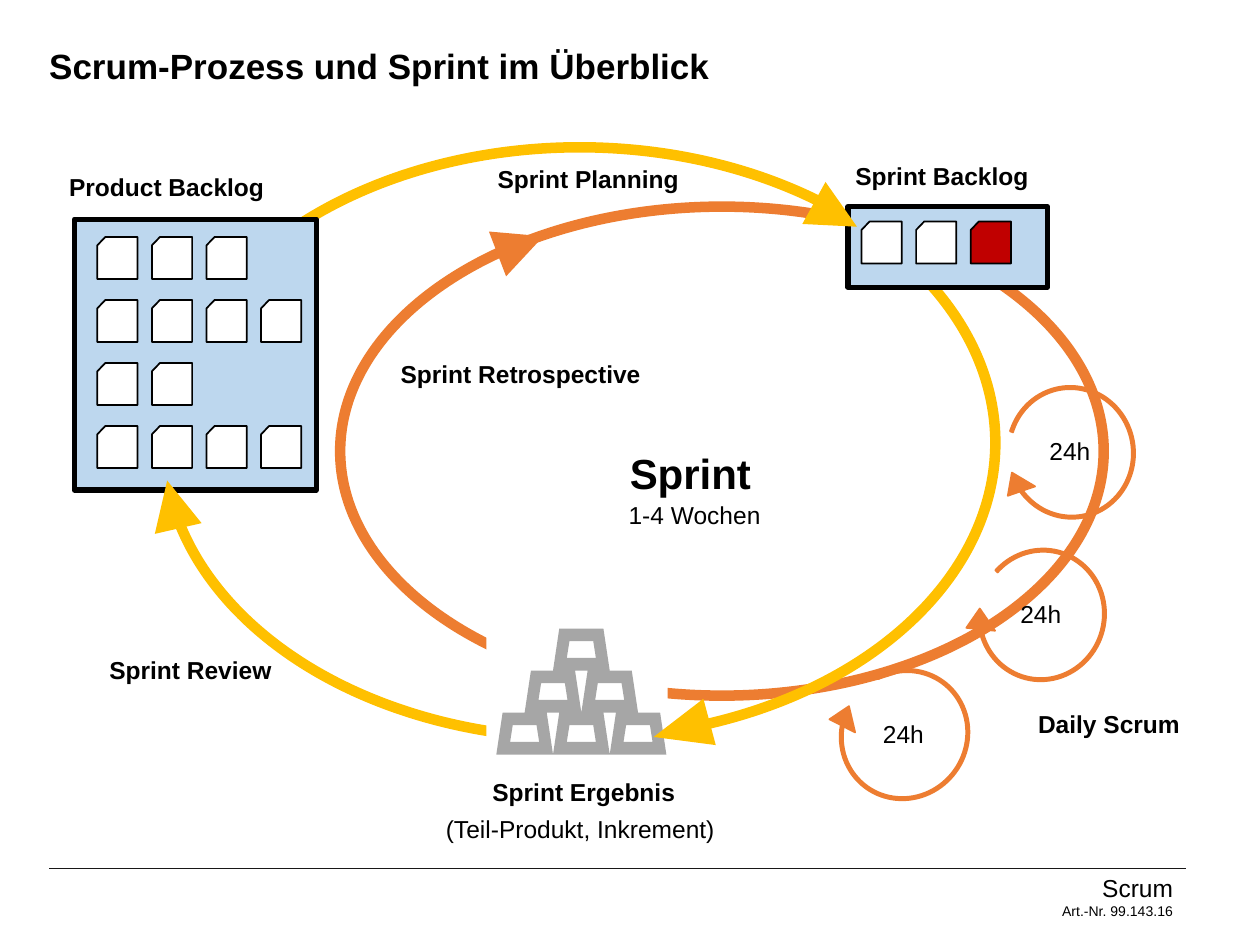
from dataclasses import dataclass
from lxml.etree import SubElement
from pptx import Presentation
from pptx.dml.color import RGBColor
from pptx.enum.shapes import MSO_CONNECTOR, MSO_SHAPE
from pptx.enum.text import MSO_ANCHOR, MSO_AUTO_SIZE, PP_ALIGN
from pptx.oxml.ns import qn
from pptx.util import Pt


@dataclass(frozen=True)
class Theme:
    font: str = "Arial"
    ink: str = "000000"
    rule: str = "181717"
    paper: str = "FFFFFF"
    board: str = "BDD7EE"
    urgent: str = "C00000"
    sprint: str = "ED7D31"
    flow: str = "FFC000"
    brick: str = "A6A6A6"
    title: int = 20
    heading: int = 24
    body: int = 14
    small: int = 8


def write(para, text, *, theme, size, bold=False, align=PP_ALIGN.LEFT, spacing=None):
    para.alignment = align
    if spacing:
        para.line_spacing = spacing
    span = para.add_run()
    span.text = text
    span.font.name = theme.font
    span.font.size = Pt(size)
    span.font.bold = bold
    span.font.color.rgb = RGBColor.from_string(theme.ink)


class Painter:
    def __init__(self, slide, theme):
        self.slide = slide
        self.theme = theme

    def style(self, shape, fill, line, weight):
        shape.shadow.inherit = False
        if fill:
            shape.fill.solid()
            shape.fill.fore_color.rgb = RGBColor.from_string(fill)
        else:
            shape.fill.background()
        if line:
            shape.line.color.rgb = RGBColor.from_string(line)
            shape.line.width = Pt(weight)
        else:
            shape.line.fill.background()

    def shape(self, kind, left, top, width, height, fill=None, line=None, weight=1, turn=0):
        shape = self.slide.shapes.add_shape(kind, Pt(left), Pt(top), Pt(width), Pt(height))
        self.style(shape, fill, line, weight)
        shape.rotation = turn
        return shape

    def title(self, text, left, top, width, height):
        box = self.slide.shapes.title
        box.left, box.top, box.width, box.height = Pt(left), Pt(top), Pt(width), Pt(height)
        frame = box.text_frame
        frame.margin_left = frame.margin_top = frame.margin_right = frame.margin_bottom = 0
        frame.vertical_anchor = MSO_ANCHOR.TOP
        frame.auto_size = MSO_AUTO_SIZE.NONE
        write(frame.paragraphs[0], text, theme=self.theme, size=self.theme.title,
              bold=True, spacing=0.9)

    def label(self, text, left, top, width, height=24.2, size=None, bold=True):
        box = self.slide.shapes.add_textbox(Pt(left), Pt(top), Pt(width), Pt(height))
        box.text_frame.word_wrap = False
        box.text_frame.auto_size = MSO_AUTO_SIZE.SHAPE_TO_FIT_TEXT
        write(box.text_frame.paragraphs[0], text, theme=self.theme,
              size=size or self.theme.body, bold=bold)

    def footer(self, name, number):
        box = self.slide.shapes.add_textbox(Pt(456.5), Pt(495.4), Pt(221), Pt(35.3))
        frame = box.text_frame
        frame.word_wrap = True
        write(frame.paragraphs[0], name, theme=self.theme, size=self.theme.body,
              align=PP_ALIGN.RIGHT)
        write(frame.add_paragraph(), number, theme=self.theme, size=self.theme.small,
              align=PP_ALIGN.RIGHT)
        rule = self.slide.shapes.add_connector(
            MSO_CONNECTOR.STRAIGHT, Pt(28.1), Pt(496.1), Pt(677.5), Pt(496.1))
        rule.line.color.rgb = RGBColor.from_string(self.theme.rule)
        rule.line.width = Pt(0.75)
        SubElement(rule._element.spPr, qn("a:effectLst"))

    def loop(self, left, top, width, height, color):
        self.shape(MSO_SHAPE.FLOWCHART_CONNECTOR, left, top, width, height,
                   line=color, weight=6)

    def arrowhead(self, left, top, turn, color, height=28.1):
        self.shape(MSO_SHAPE.ISOSCELES_TRIANGLE, left, top, 27.4, height,
                   fill=color, turn=turn)

    def board(self, left, top, width, height):
        self.shape(MSO_SHAPE.RECTANGLE, left, top, width, height,
                   fill=self.theme.board, line=self.theme.ink, weight=3)

    def cards(self, left, top, colors):
        for column, color in enumerate(colors):
            self.shape(MSO_SHAPE.FLOWCHART_CARD, left + 31.2 * column, top, 23, 24,
                       fill=color, line=self.theme.ink)

    def day(self, left, top, turn):
        arrow = self.shape(MSO_SHAPE.CIRCULAR_ARROW, left, top, 87.8, 90.7,
                           fill=self.theme.sprint, line=self.theme.sprint, turn=turn)
        for index, value in enumerate((0.021, 11.423, 199.263, 17.479, 0.094)):
            arrow.adjustments[index] = value

    def pyramid(self, center, top, rows=3, pitch=32.4, rise=24, inset=7.2):
        contours = []
        for row in range(rows):
            upper = top + rise * row
            for column in range(row + 1):
                middle = center + pitch * (column - row / 2)
                for narrow, wide, gap in ((12.6, 16.2, 0), (6.8, 8.3, inset)):
                    high, low = upper + gap, upper + rise - gap
                    contours.append([
                        (Pt(middle - narrow), Pt(high)), (Pt(middle + narrow), Pt(high)),
                        (Pt(middle + wide), Pt(low)), (Pt(middle - wide), Pt(low))])
        builder = self.slide.shapes.build_freeform(*contours[0][0])
        for index, contour in enumerate(contours):
            if index:
                builder.move_to(*contour[0])
            builder.add_line_segments(contour[1:], close=True)
        self.style(builder.convert_to_shape(), self.theme.brick, None, 0)


def main():
    deck = Presentation()
    deck.slide_width, deck.slide_height = Pt(720), Pt(540)
    page = deck.slides.add_slide(deck.slide_layouts[5])
    theme = Theme()
    painter = Painter(page, theme)

    painter.footer("Scrum", "Art.-Nr. 99.143.16")
    painter.loop(194.4, 118.1, 436.3, 279.4, theme.sprint)
    painter.loop(93.6, 84.2, 475.2, 337.7, theme.flow)
    painter.title("Scrum-Prozess und Sprint im Überblick", 28.1, 28.1, 620.6, 70.6)

    painter.label("Product Backlog", 32.4, 95, 126.7)
    painter.board(42.5, 125.3, 138.2, 154.8)
    for row, count in enumerate((3, 4, 2, 4)):
        painter.cards(55.6, 135.4 + 36 * row, [theme.paper] * count)

    painter.label("Sprint Backlog", 481.7, 88.5, 113.8)
    painter.board(484.6, 118.1, 113.8, 46.1)
    painter.cards(492.3, 126.6, [theme.paper, theme.paper, theme.urgent])

    painter.label("Sprint Planning", 277.2, 90, 118.8)
    painter.arrowhead(463.7, 108.7, 118.9, theme.flow)
    painter.label("Sprint", 352.8, 252, 84.2, 36, size=theme.heading)
    painter.label("1-4 Wochen", 352.1, 282.2, 90, bold=False)

    painter.shape(MSO_SHAPE.RECTANGLE, 277.9, 353.5, 103.7, 82.8, fill=theme.paper)
    painter.pyramid(332.2, 359.2)
    painter.arrowhead(375.8, 400.3, 255, theme.flow, height=33.1)

    for left, top, turn in ((568.1, 213.1, 169.9), (551.5, 306, 194.7), (473, 374.4, 215.9)):
        painter.day(left, top, turn)
        painter.label("24h", left + 24.5, top + 32.8, 38.9, bold=False)
    painter.label("Daily Scrum", 586.1, 401.8, 96.5)

    painter.label("(Teil-Produkt, Inkrement)", 247.7, 461.5, 173.5, bold=False)
    painter.arrowhead(85, 274.3, 347.1, theme.flow)
    painter.label("Sprint Review", 55.4, 370.8, 108)
    painter.arrowhead(283.7, 126, 69, theme.sprint)
    painter.label("Sprint Retrospective", 221.8, 201.6, 152.6)
    painter.label("Sprint Ergebnis", 274.3, 440.6, 119.5)

    deck.save("out.pptx")


if __name__ == "__main__":
    main()
